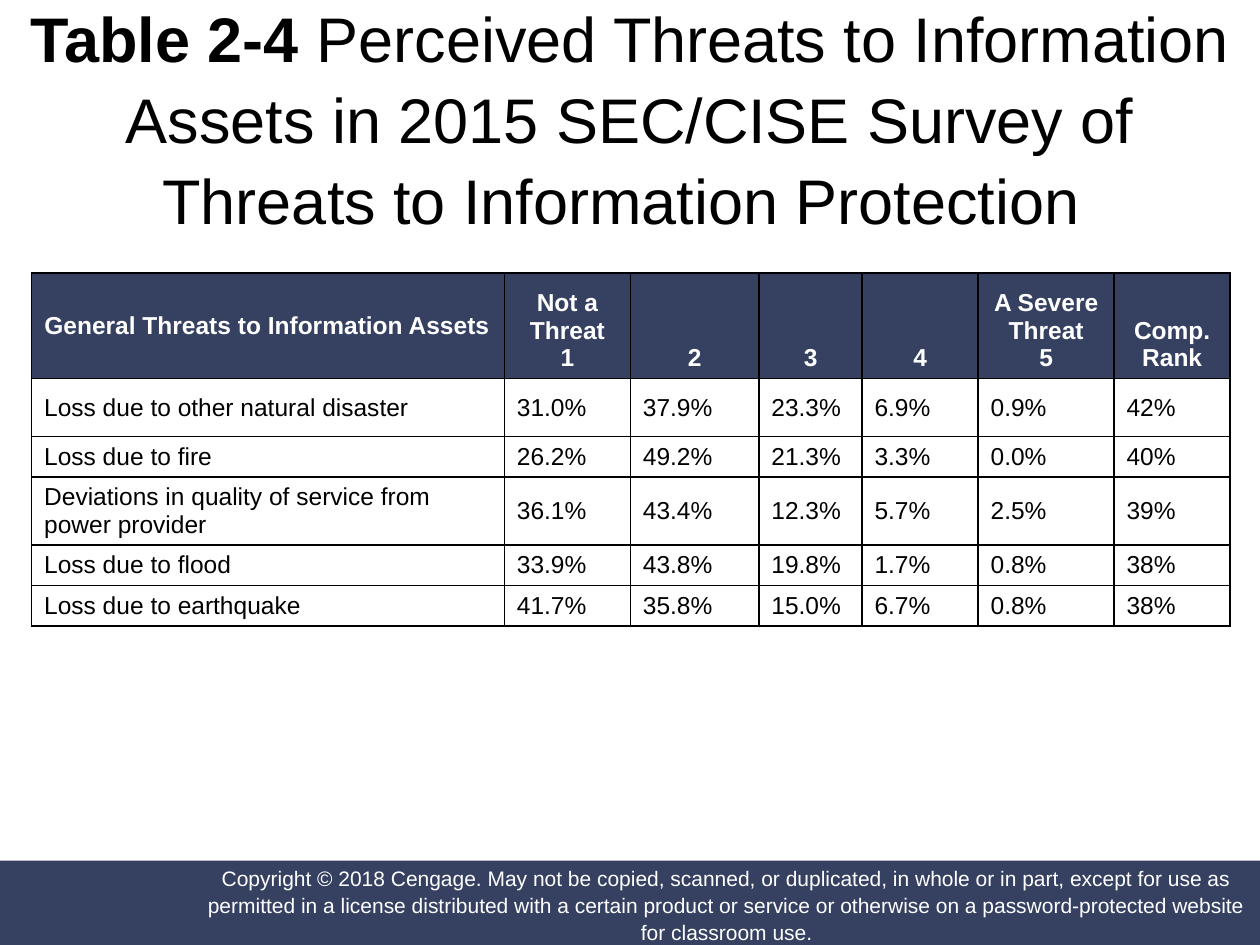
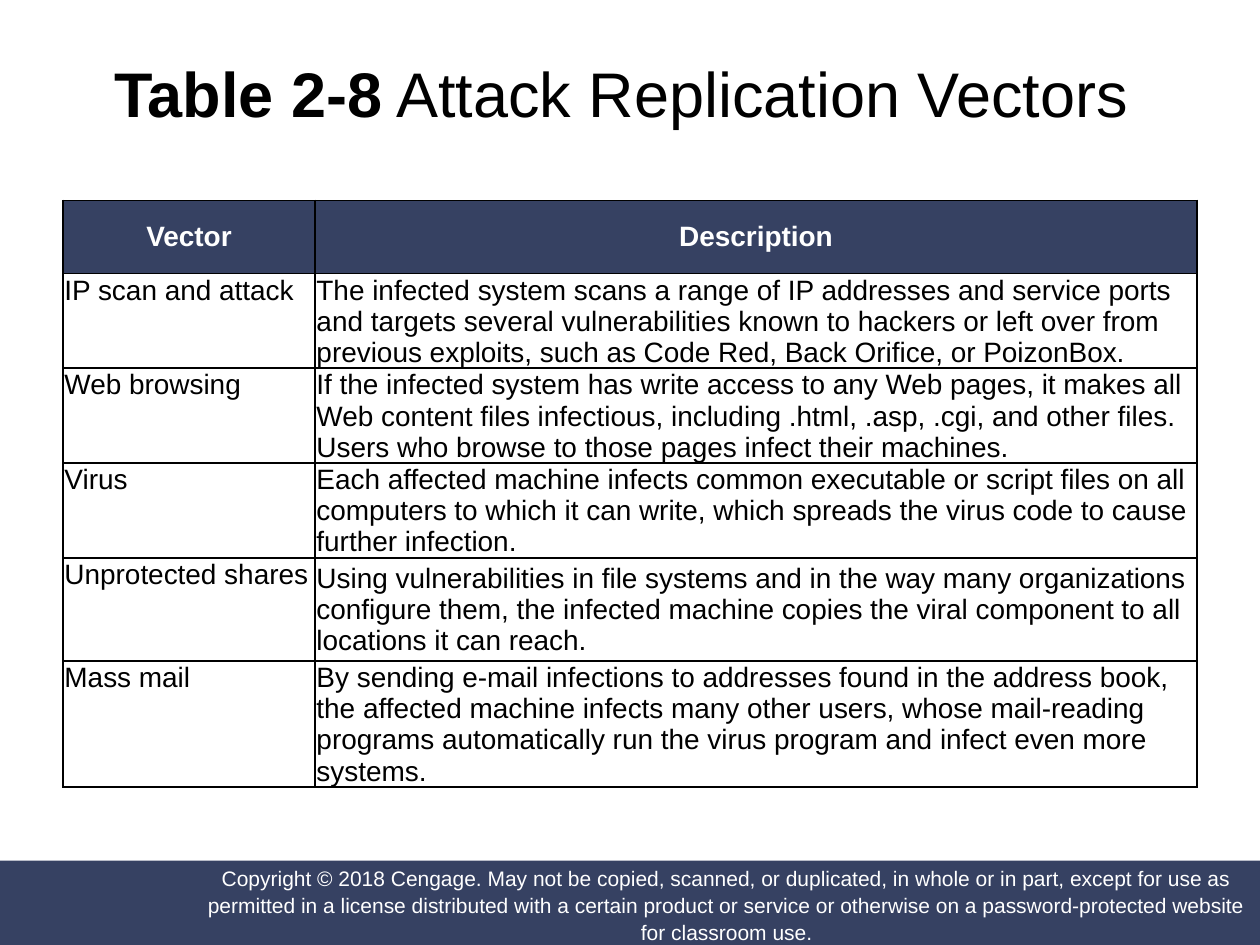
from lxml.etree import SubElement
from pptx import Presentation
from pptx.dml.color import RGBColor
from pptx.enum.shapes import MSO_SHAPE
from pptx.enum.text import MSO_ANCHOR, MSO_AUTO_SIZE, PP_ALIGN
from pptx.oxml.ns import qn
from pptx.util import Cm, Pt

# Content
COPYRIGHT = (
    "Copyright © 2018 Cengage. May not be copied, scanned, or duplicated, in whole or in part, "
    "except for use as permitted in a license distributed with a certain product or service or "
    "otherwise on a password-protected website for classroom use."
)

THREATS = {
    "title": ("Table 2-4 ", "Perceived Threats to Information Assets in 2015 SEC/CISE "
              "Survey of Threats to Information Protection "),
    "title_box": (0, 0, 25.4, 4.65),
    "rows": [
        ("General Threats to Information Assets", "Not a Threat\n1", "2", "3", "4",
         "A Severe Threat\n5", "Comp.\vRank"),
        ("Loss due to other natural disaster", "31.0%", "37.9%", "23.3%", "6.9%", "0.9%", "42%"),
        ("Loss due to fire", "26.2%", "49.2%", "21.3%", "3.3%", "0.0%", "40%"),
        ("Deviations in quality of service from power provider",
         "36.1%", "43.4%", "12.3%", "5.7%", "2.5%", "39%"),
        ("Loss due to flood", "33.9%", "43.8%", "19.8%", "1.7%", "0.8%", "38%"),
        ("Loss due to earthquake", "41.7%", "35.8%", "15.0%", "6.7%", "0.8%", "38%"),
    ],
    "table_at": (0.64, 5.5),
    "widths": (9.53, 2.54, 2.59, 2.08, 2.34, 2.74, 2.34),
    "heights": (2.13, 1.17, 0.81, 1.37, 0.81, 0.81),
    "size": 14,
    # Anchors are (first column, other columns)
    "header_anchors": (MSO_ANCHOR.MIDDLE, MSO_ANCHOR.BOTTOM),
    "body_anchors": (MSO_ANCHOR.MIDDLE, MSO_ANCHOR.MIDDLE),
    "header_aligns": (PP_ALIGN.LEFT, PP_ALIGN.CENTER),
    "body_margins": (0.25, 0.13, 0.25, 0.13),
}

VECTORS = {
    "title": ("Table 2-8", " Attack Replication Vectors "),
    "title_box": (0, 0.46, 25.4, 2.69),
    "rows": [
        ("Vector", "Description"),
        ("IP scan and attack",
         "The infected system scans a range of IP addresses and service ports and targets several "
         "vulnerabilities known to hackers or left over from previous exploits, such as Code Red, "
         "Back Orifice, or PoizonBox."),
        ("Web browsing",
         "If the infected system has write access to any Web pages, it makes all Web content files "
         "infectious, including .html, .asp, .cgi, and other files. Users who browse to those "
         "pages infect their machines."),
        ("Virus",
         "Each affected machine infects common executable or script files on all computers to "
         "which it can write, which spreads the virus code to cause further infection."),
        ("Unprotected shares",
         "Using vulnerabilities in file systems and in the way many organizations configure them, "
         "the infected machine copies the viral component to all locations it can reach."),
        ("Mass mail",
         "By sending e-mail infections to addresses found in the address book, the affected "
         "machine infects many other users, whose mail-reading programs automatically run the "
         "virus program and infect even more systems."),
    ],
    "table_at": (1.27, 4.04),
    "widths": (5.08, 17.78),
    "heights": (1.47, 1.91, 1.91, 1.91, 2.08, 2.54),
    "size": 16,
    "header_anchors": (MSO_ANCHOR.MIDDLE, MSO_ANCHOR.MIDDLE),
    "body_anchors": (MSO_ANCHOR.TOP, MSO_ANCHOR.MIDDLE),
    "header_aligns": (PP_ALIGN.CENTER, PP_ALIGN.CENTER),
    "body_margins": (0.03, 0.03, 0.03, 0),
}

# Shared style
NAVY = RGBColor(0x36, 0x41, 0x62)
WHITE = RGBColor(0xFF, 0xFF, 0xFF)
BLACK = RGBColor(0, 0, 0)
FONT = "Arial"
LINE_SPACING = 1.07
TITLE_ONLY = 5


def style_run(run, size, color, bold=False):
    run.font.name = FONT
    run.font.size = Pt(size)
    run.font.color.rgb = color
    run.font.bold = bold


def set_margins(target, margins):
    left, top, right, bottom = map(Cm, margins)
    target.margin_left, target.margin_top = left, top
    target.margin_right, target.margin_bottom = right, bottom


def add_band(slide, left, top, width, height):
    band = slide.shapes.add_shape(MSO_SHAPE.RECTANGLE, Cm(left), Cm(top), Cm(width), Cm(height))
    band.shadow.inherit = False
    band.fill.solid()
    band.fill.fore_color.rgb = NAVY
    band.line.fill.background()
    return band


def move_footer_to_master(presentation, slide):
    """Draw the footer on a slide, then hand it to the master that all slides share."""
    band = add_band(slide, -0.03, 17.35, 25.43, 1.73)
    notice = add_band(slide, 4.11, 17.42, 21.08, 1.63)
    text_frame = notice.text_frame
    text_frame.word_wrap = True
    text_frame.vertical_anchor = MSO_ANCHOR.MIDDLE
    set_margins(text_frame, (0, 0, 0, 0))
    text_frame.text = COPYRIGHT
    paragraph = text_frame.paragraphs[0]
    paragraph.alignment = PP_ALIGN.CENTER
    paragraph.line_spacing = LINE_SPACING
    style_run(paragraph.runs[0], 12, WHITE)
    master_tree = presentation.slide_master.shapes.element
    for shape in (band, notice):
        master_tree.append(shape.element)


def set_title(slide, parts, box):
    title = slide.shapes.title
    title.left, title.top, title.width, title.height = map(Cm, box)
    text_frame = title.text_frame
    text_frame.auto_size = MSO_AUTO_SIZE.NONE
    text_frame.vertical_anchor = MSO_ANCHOR.MIDDLE
    paragraph = text_frame.paragraphs[0]
    paragraph.alignment = PP_ALIGN.CENTER
    paragraph.line_spacing = LINE_SPACING
    for text, bold in zip(parts, (True, False)):
        run = paragraph.add_run()
        run.text = text
        style_run(run, 36, BLACK, bold)


def add_borders(cell):
    properties = cell._tc.get_or_add_tcPr()
    for side in ("a:lnL", "a:lnR", "a:lnT", "a:lnB"):
        line = SubElement(properties, qn(side), w=str(Pt(1)))
        fill = SubElement(line, qn("a:solidFill"))
        SubElement(fill, qn("a:srgbClr"), val=str(BLACK))


def fill_cell(cell, text, content, is_header, column):
    rest = min(column, 1)
    add_borders(cell)
    if is_header:
        cell.fill.solid()
        cell.fill.fore_color.rgb = NAVY
        alignment = content["header_aligns"][rest]
        anchors = content["header_anchors"]
    else:
        cell.fill.background()
        set_margins(cell, content["body_margins"])
        alignment = PP_ALIGN.LEFT
        anchors = content["body_anchors"]
    cell.vertical_anchor = anchors[rest]
    cell.text_frame.text = text
    for paragraph in cell.text_frame.paragraphs:
        paragraph.alignment = alignment
        for run in paragraph.runs:
            style_run(run, content["size"], WHITE if is_header else BLACK, is_header)


def add_content_table(slide, content):
    rows, widths, heights = content["rows"], content["widths"], content["heights"]
    left, top = content["table_at"]
    table = slide.shapes.add_table(len(rows), len(widths), Cm(left), Cm(top),
                                   Cm(sum(widths)), Cm(sum(heights))).table
    table.first_row = table.horz_banding = False
    for column, width in zip(table.columns, widths):
        column.width = Cm(width)
    for row_index, (row, height) in enumerate(zip(rows, heights)):
        table.rows[row_index].height = Cm(height)
        for column_index, text in enumerate(row):
            fill_cell(table.cell(row_index, column_index), text, content,
                      row_index == 0, column_index)


def main():
    presentation = Presentation()
    presentation.slide_width, presentation.slide_height = Cm(25.4), Cm(19.05)
    for content in (THREATS, VECTORS):
        slide = presentation.slides.add_slide(presentation.slide_layouts[TITLE_ONLY])
        set_title(slide, content["title"], content["title_box"])
        add_content_table(slide, content)
    move_footer_to_master(presentation, slide)
    presentation.save("out.pptx")


if __name__ == "__main__":
    main()
